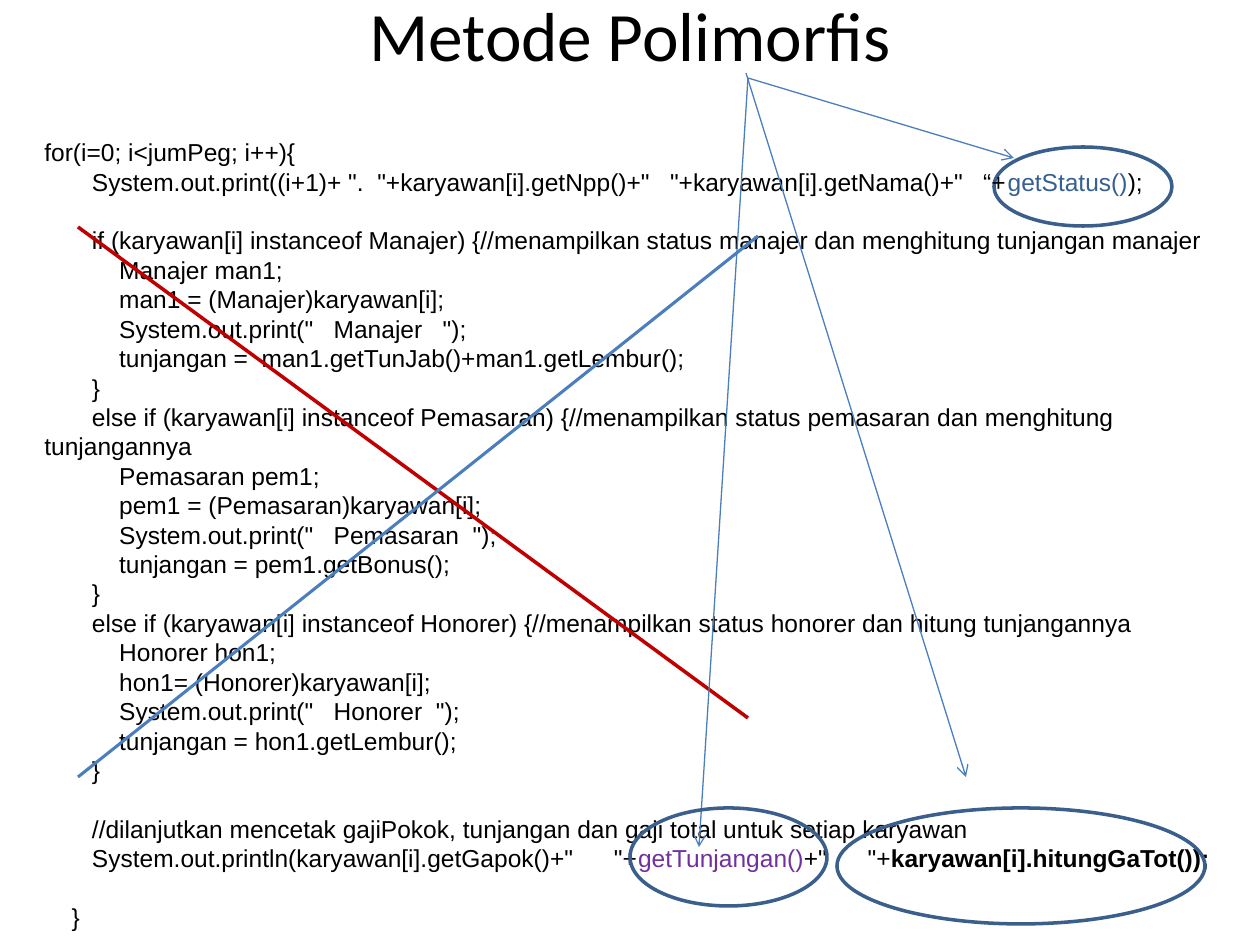
from lxml.etree import SubElement
from pptx import Presentation
from pptx.dml.color import RGBColor
from pptx.enum.shapes import MSO_CONNECTOR, MSO_SHAPE
from pptx.enum.text import MSO_ANCHOR, PP_ALIGN
from pptx.oxml.ns import qn
from pptx.util import Emu, Pt

BLACK = RGBColor(0x00, 0x00, 0x00)
NAVY = RGBColor(0x3A, 0x5F, 0x8C)
BLUE = RGBColor(0x4B, 0x7E, 0xBC)
RED = RGBColor(0xC0, 0x00, 0x00)
STATUS_BLUE = RGBColor(0x37, 0x60, 0x92)
PURPLE = RGBColor(0x70, 0x30, 0xA0)

LINE_PITCH = Pt(16.8)

CODE_LINES = [
    'for(i=0; i<jumPeg; i++){',
    '       System.out.print((i+1)+ ".  "+karyawan[i].getNpp()+"   "+karyawan[i].getNama()+"   “+getStatus());',
    '',
    '       if (karyawan[i] instanceof Manajer) {//menampilkan status manajer dan menghitung tunjangan manajer',
    '           Manajer man1;',
    '           man1 = (Manajer)karyawan[i];',
    '           System.out.print("   Manajer   ");',
    '           tunjangan =  man1.getTunJab()+man1.getLembur();',
    '       }',
    '       else if (karyawan[i] instanceof Pemasaran) {//menampilkan status pemasaran dan menghitung tunjangannya',
    '           Pemasaran pem1;',
    '           pem1 = (Pemasaran)karyawan[i];',
    '           System.out.print("   Pemasaran  ");',
    '           tunjangan = pem1.getBonus();',
    '       }',
    '       else if (karyawan[i] instanceof Honorer) {//menampilkan status honorer dan hitung tunjangannya',
    '           Honorer hon1;',
    '           hon1= (Honorer)karyawan[i];',
    '           System.out.print("   Honorer  ");',
    '           tunjangan = hon1.getLembur();',
    '       }',
    '',
    '       //dilanjutkan mencetak gajiPokok, tunjangan dan gaji total untuk setiap karyawan',
    '       System.out.println(karyawan[i].getGapok()+"      "+getTunjangan()+"      "+karyawan[i].hitungGaTot());',
    '',
    '    }',
]

# call -> (colour, bold)
HIGHLIGHTS = {
    "getStatus()": (STATUS_BLUE, False),
    "getTunjangan()": (PURPLE, False),
    "karyawan[i].hitungGaTot());": (BLACK, True),
}


def px(length):
    return Emu(round(length * 914400 / 126))


def add_title(slide, left, top, width, height):
    frame = slide.shapes.add_textbox(px(left), px(top), px(width), px(height)).text_frame
    frame.word_wrap = True
    frame.vertical_anchor = MSO_ANCHOR.MIDDLE
    frame.text = "Metode Polimorfis"
    heading = frame.paragraphs[0]
    heading.alignment = PP_ALIGN.CENTER
    heading.font.name = "Calibri"
    heading.font.size = Pt(39.6)
    heading.font.color.rgb = BLACK


def split_highlights(line):
    """Return (text, colour, bold) pieces of one line of code."""
    pieces = []
    for call, (colour, bold) in HIGHLIGHTS.items():
        before, found, after = line.partition(call)
        if found:
            pieces += [(before, BLACK, False), (call, colour, bold)]
            line = after
    return pieces + [(line, BLACK, False)]


def add_code(slide, left, top, width, height):
    """Set the listing; a blank line becomes space before the next one."""
    frame = slide.shapes.add_textbox(px(left), px(top), px(width), px(height)).text_frame
    frame.word_wrap = True
    paragraph = frame.paragraphs[0]
    for number, line in enumerate(CODE_LINES):
        if not line:
            continue
        if number:
            paragraph = frame.add_paragraph()
            if not CODE_LINES[number - 1]:
                paragraph.space_before = LINE_PITCH
        for text, colour, bold in split_highlights(line):
            if text:
                run = paragraph.add_run()
                run.text = text
                run.font.name = "Arial"
                run.font.size = Pt(14)
                run.font.bold = bold
                run.font.color.rgb = colour


def add_ring(slide, left, top, width, height):
    ring = slide.shapes.add_shape(MSO_SHAPE.OVAL, px(left), px(top), px(width), px(height))
    ring.shadow.inherit = False
    ring.fill.background()
    ring.line.color.rgb = NAVY
    ring.line.width = Pt(2)


def add_line(slide, start, end, colour, weight, arrow=False):
    line = slide.shapes.add_connector(
        MSO_CONNECTOR.STRAIGHT, *(px(value) for value in (*start, *end)))
    line.line.color.rgb = colour
    line.line.width = Pt(weight)
    properties = line._element.spPr
    if arrow:
        SubElement(properties.find(qn("a:ln")), qn("a:tailEnd"), type="arrow")
    SubElement(properties, qn("a:effectLst"))


def add_cross(slide, left, top, width, height):
    """Strike out the type checks that polymorphism makes needless."""
    right, bottom = left + width, top + height
    add_line(slide, (left, top), (right, bottom - 59), RED, 2)
    add_line(slide, (left, bottom), (right + 10, top + 9), BLUE, 1.75)


def add_pointers(slide, left, top):
    """Draw arrows from below the title towards the polymorphic calls."""
    origin = (left, top)
    add_line(slide, (left - 2, top - 5), (left + 218, top + 699), BLUE, 0.75, arrow=True)
    add_line(slide, origin, (left - 49, top + 769), BLUE, 0.75, arrow=True)
    add_line(slide, origin, (left + 266, top + 80), BLUE, 0.75, arrow=True)


def main():
    presentation = Presentation()
    presentation.slide_width = px(1260)
    presentation.slide_height = px(945)
    slide = presentation.slides.add_slide(presentation.slide_layouts[6])

    add_ring(slide, 994, 147, 178, 79)
    add_title(slide, 63, 0, 1134, 67)
    add_code(slide, 32, 131, 1207, 814)
    add_ring(slide, 837, 808, 368, 116)
    add_cross(slide, 78, 227, 670, 550)
    add_pointers(slide, 748, 78)
    add_ring(slide, 630, 808, 197, 98)

    presentation.save("out.pptx")


if __name__ == "__main__":
    main()
